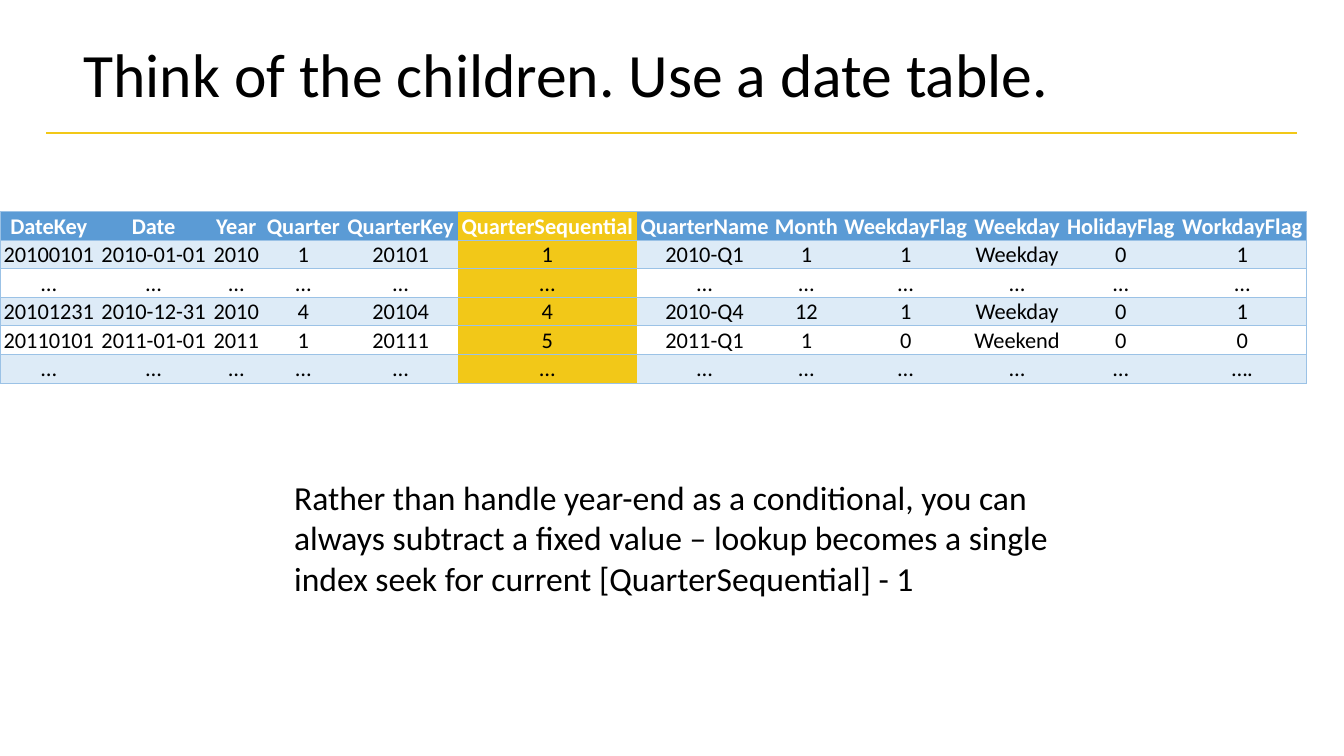
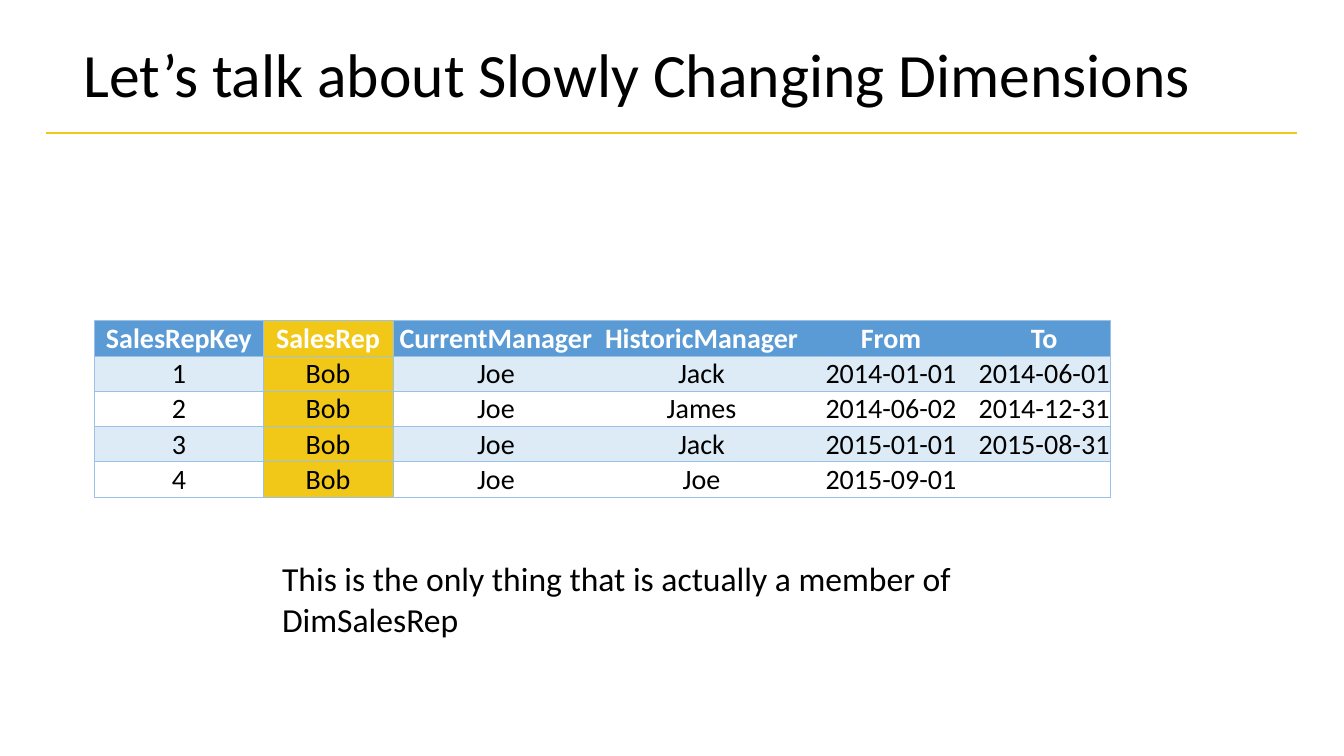
"""Build two slides on date tables and slowly changing dimensions."""
from lxml import etree
from pptx import Presentation
from pptx.dml import color
from pptx.enum import shapes, text
from pptx.oxml import ns
from pptx.util import Pt

FONT = "Calibri"
BLACK, WHITE = "000000", "FFFFFF"
GOLD, HEADER, BAND, BORDER = "F2C818", "5B9BD5", "DDEBF7", "9BC2E6"
NO_STYLE = "{2D5ABB26-0587-4C30-8999-92F81FD0307C}"

SLIDES = [
    {
        "title": "Think of the children. Use a date table.",
        "table": {
            "left": 0, "top": 151.2, "row_height": 20.4, "size": 16,
            "widths": [69.8, 79.9, 38.2, 57.6, 81.4, 128.2, 96.5, 49, 92.9, 66.2, 82.1, 91.4],
            "highlight": 5, "ruled_columns": [0],
            "rows": [
                ["DateKey", "Date", "Year", "Quarter", "QuarterKey", "QuarterSequential",
                 "QuarterName", "Month", "WeekdayFlag", "Weekday", "HolidayFlag", "WorkdayFlag"],
                ["20100101", "2010-01-01", "2010", "1", "20101", "1",
                 "2010-Q1", "1", "1", "Weekday", "0", "1"],
                ["…"] * 12,
                ["20101231", "2010-12-31", "2010", "4", "20104", "4",
                 "2010-Q4", "12", "1", "Weekday", "0", "1"],
                ["20110101", "2011-01-01", "2011", "1", "20111", "5",
                 "2011-Q1", "1", "0", "Weekend", "0", "0"],
                ["…"] * 11 + ["…."],
            ],
        },
        "note": "Rather than handle year-end as a conditional, you can always subtract a fixed "
                "value – lookup becomes a single index seek for current [QuarterSequential] - 1",
        "note_place": (203, 337, 554.4, 123.8),
    },
    {
        "title": "Let’s talk about Slowly Changing Dimensions",
        "table": {
            "left": 67.7, "top": 229, "row_height": 25.2, "size": 20,
            "widths": [120.2, 92.9, 146.9, 146.9, 123.8, 95],
            "highlight": 1, "ruled_columns": [0, 1],
            "rows": [
                ["SalesRepKey", "SalesRep", "CurrentManager", "HistoricManager", "From", "To"],
                ["1", "Bob", "Joe", "Jack", "2014-01-01", "2014-06-01"],
                ["2", "Bob", "Joe", "James", "2014-06-02", "2014-12-31"],
                ["3", "Bob", "Joe", "Jack", "2015-01-01", "2015-08-31"],
                ["4", "Bob", "Joe", "Joe", "2015-09-01", ""],
            ],
        },
        "note": "This is the only thing that is actually a member of DimSalesRep",
        "note_place": (194.4, 395.3, 554.4, 65.5),
    },
]


def rgb(value):
    """Turn a hex string into a colour."""
    return color.RGBColor.from_string(value)


def add_span(para, words, size, ink=BLACK, bold=False):
    """Add one formatted run to a paragraph."""
    span = para.add_run()
    span.text = words
    span.font.name = FONT
    span.font.size = Pt(size)
    span.font.bold = bold
    span.font.color.rgb = rgb(ink)


def add_text(page, place, words, size, anchor=text.MSO_ANCHOR.TOP, spacing=None):
    """Add a wrapped text box holding one paragraph."""
    box = page.shapes.add_textbox(*map(Pt, place))
    frame = box.text_frame
    frame.word_wrap = True
    frame.vertical_anchor = anchor
    para = frame.paragraphs[0]
    para.line_spacing = spacing
    add_span(para, words, size)


def add_heading(page, words):
    """Add the title and the gold rule shared by all slides."""
    rule = page.shapes.add_connector(
        shapes.MSO_CONNECTOR.STRAIGHT, Pt(33.1), Pt(95), Pt(926.6), Pt(95))
    rule.line.color.rgb = rgb(GOLD)
    rule.line.width = Pt(2)
    etree.SubElement(rule._element.spPr, ns.qn("a:effectLst"))
    add_text(page, (52.6, 15.8, 856, 79.2), words, 44, text.MSO_ANCHOR.MIDDLE, 0.9)


def add_borders(cell, sides):
    """Draw thin borders on the given sides, named in L, R, T, B order."""
    props = cell._tc.get_or_add_tcPr()
    for side in sides:
        line = etree.SubElement(props, ns.qn(f"a:ln{side}"), w=str(Pt(0.5)))
        fill = etree.SubElement(line, ns.qn("a:solidFill"))
        etree.SubElement(fill, ns.qn("a:srgbClr"), val=BORDER)


def add_grid(page, data):
    """Add a banded table with one highlighted column."""
    rows, widths, height = data["rows"], data["widths"], data["row_height"]
    frame = page.shapes.add_table(
        len(rows), len(widths), Pt(data["left"]), Pt(data["top"]),
        Pt(sum(widths)), Pt(height * len(rows)))
    grid = frame.table
    grid.first_row = grid.horz_banding = False
    grid._tbl.tblPr.find(ns.qn("a:tableStyleId")).text = NO_STYLE
    for column, width in zip(grid.columns, widths):
        column.width = Pt(width)
    for r, values in enumerate(rows):
        grid.rows[r].height = Pt(height)
        row_fill = HEADER if r == 0 else BAND if r % 2 else WHITE
        for c, value in enumerate(values):
            cell = grid.cell(r, c)
            left = "L" if c in data["ruled_columns"] else ""
            right = "R" if c == len(widths) - 1 or c + 1 in data["ruled_columns"] else ""
            add_borders(cell, left + right + "TB")
            cell.fill.solid()
            cell.fill.fore_color.rgb = rgb(GOLD if c == data["highlight"] else row_fill)
            cell.margin_left = cell.margin_right = cell.margin_top = Pt(0.7)
            cell.margin_bottom = 0
            cell.vertical_anchor = text.MSO_ANCHOR.BOTTOM
            para = cell.text_frame.paragraphs[0]
            para.alignment = text.PP_ALIGN.CENTER
            if value:
                add_span(para, value, data["size"], BLACK if r else WHITE, r == 0)


def main():
    """Build and save the deck."""
    deck = Presentation()
    deck.slide_width, deck.slide_height = Pt(960), Pt(540)
    for content in SLIDES:
        page = deck.slides.add_slide(deck.slide_layouts[6])
        add_heading(page, content["title"])
        add_grid(page, content["table"])
        add_text(page, content["note_place"], content["note"], 24)
    deck.save("out.pptx")


if __name__ == "__main__":
    main()
